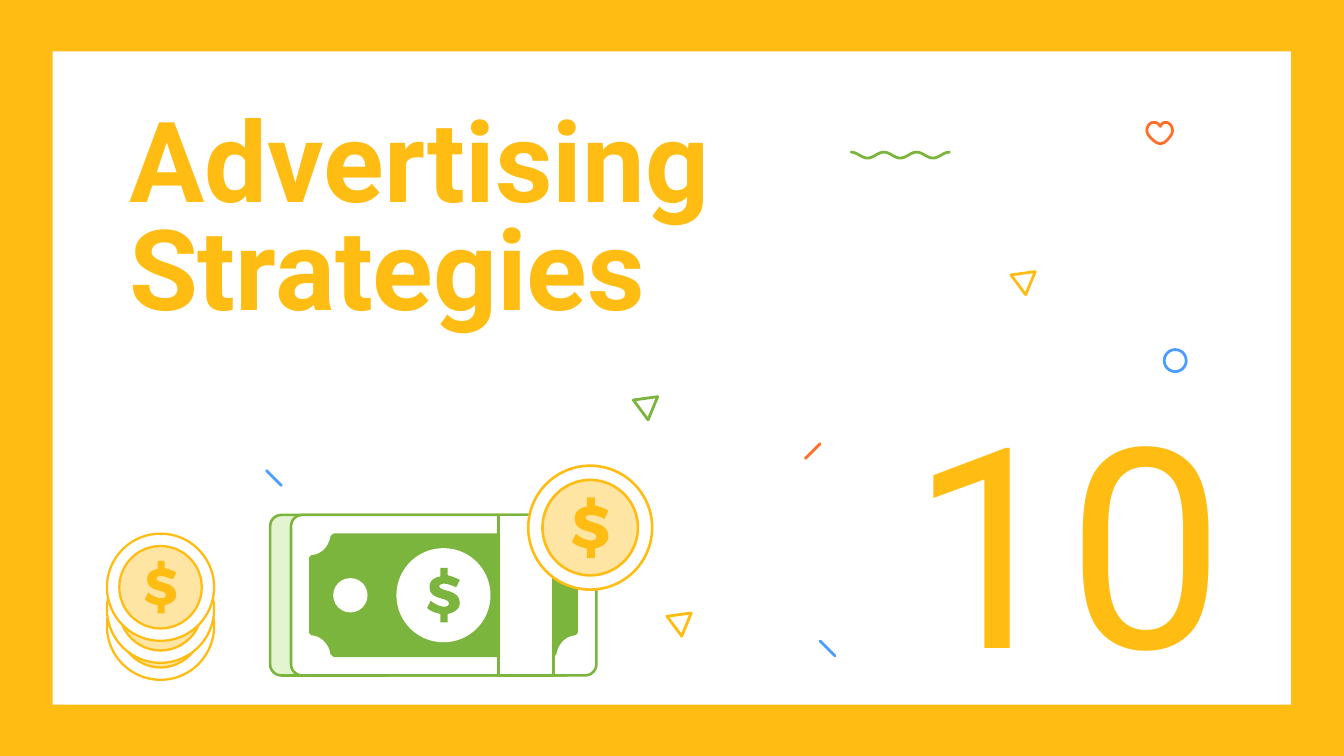
import math

import lxml.etree
import pptx
import pptx.dml.color
import pptx.enum.shapes
import pptx.enum.text
import pptx.oxml.ns
import pptx.util

Pt = pptx.util.Pt
RGBColor = pptx.dml.color.RGBColor
Preset = pptx.enum.shapes.MSO_SHAPE
Align = pptx.enum.text.PP_ALIGN
Anchor = pptx.enum.text.MSO_ANCHOR

YELLOW = RGBColor(0xFF, 0xBC, 0x12)
PALE_YELLOW = RGBColor(0xFF, 0xE5, 0xA3)
GREEN = RGBColor(0x7C, 0xB5, 0x3E)
PALE_GREEN = RGBColor(0xE3, 0xF5, 0xD0)
ORANGE = RGBColor(0xFF, 0x6F, 0x29)
BLUE = RGBColor(0x4D, 0x9D, 0xFF)
WHITE = RGBColor(0xFF, 0xFF, 0xFF)

FONT = "Roboto"
STROKE = 1.5
DOLLAR = [
    (11, 0), (11, 7), (5, 8, 2, 11, 2, 16), (2, 27, 18, 24, 18, 29),
    (18, 31, 17, 32, 14, 32), (11, 32, 6, 30, 3, 27), (0, 33),
    (3, 36, 7, 37, 11, 38), (11, 45), (17, 45), (17, 38),
    (22, 37, 27, 34, 27, 29), (27, 17, 10, 20, 10, 15),
    (10, 14, 12, 13, 14, 13), (16, 13, 20, 14, 24, 16), (27, 10),
    (24, 8, 20, 7, 17, 6), (17, 0),
]
HEART = [
    (10, 16), (7, 15), (0, 10, 0, 7, 0, 6), (0, 3, 2, 0, 5, 0),
    (7, 0, 9, 1, 10, 3), (11, 1, 12, 0, 14, 0), (17, 0, 19, 3, 19, 6),
    (19, 7, 19, 10, 13, 15),
]
PLATE_CORNER = [
    (0, 19), (0, 17, 1, 17, 2, 16), (3, 16), (10, 15, 15, 9, 16, 2),
    (17, 1, 18, 0, 19, 0),
]
TRIANGLE = [(13, 0), (0, 1.8), (7.9, 12.4)]


def trace(steps, scale, samples=8):
    """Turn line and cubic curve steps into a list of scaled points."""
    points = []
    for step in steps:
        if len(step) == 2:
            points.append(step)
            continue
        x0, y0 = points[-1]
        x1, y1, x2, y2, x3, y3 = step
        for i in range(1, samples + 1):
            t = i / samples
            a, b, c, d = (1 - t) ** 3, 3 * t * (1 - t) ** 2, 3 * t * t * (1 - t), t ** 3
            points.append((a * x0 + b * x1 + c * x2 + d * x3,
                           a * y0 + b * y1 + c * y2 + d * y3))
    return [(x * scale, y * scale) for x, y in points]


def paint(shape, fill=None, line=None, weight=STROKE):
    """Give a shape its fill and line, without a shadow."""
    shape.shadow.inherit = False
    if fill is None:
        shape.fill.background()
    else:
        shape.fill.solid()
        shape.fill.fore_color.rgb = fill
    if line is None:
        shape.line.fill.background()
    else:
        shape.line.color.rgb = line
        shape.line.width = Pt(weight)
    return shape


def round_ends(shape):
    """Round the ends and corners of a shape's line."""
    ln = shape.line._get_or_add_ln()
    ln.set("cap", "rnd")
    lxml.etree.SubElement(ln, pptx.oxml.ns.qn("a:round"))


def add_preset(slide, preset, left, top, width, height, **look):
    """Add a painted preset shape."""
    shape = slide.shapes.add_shape(preset, Pt(left), Pt(top), Pt(width), Pt(height))
    return paint(shape, **look)


def add_outline(slide, left, top, points, close=True, **look):
    """Add a painted freeform through points relative to a corner."""
    placed = [(Pt(left + x), Pt(top + y)) for x, y in points]
    builder = slide.shapes.build_freeform(*placed[0])
    builder.add_line_segments(placed[1:], close=close)
    return paint(builder.convert_to_shape(), **look)


def add_dollar(slide, center_x, center_y, height, color):
    """Add a dollar sign centred on a point."""
    scale = height / 45
    add_outline(slide, center_x - 13.5 * scale, center_y - height / 2,
                trace(DOLLAR, scale), fill=color)


def add_coin(slide, left, top, size):
    """Add a coin filling a square box."""
    inner = size * 0.77
    margin = (size - inner) / 2
    weight = round(size * 0.021, 2)
    add_preset(slide, Preset.OVAL, left, top, size, size,
               fill=WHITE, line=YELLOW, weight=weight)
    add_preset(slide, Preset.OVAL, left + margin, top + margin, inner, inner,
               fill=PALE_YELLOW, line=YELLOW, weight=weight)
    add_dollar(slide, left + size / 2, top + size / 2, size * 0.49, YELLOW)


def add_banknotes(slide, left, top, width, height):
    """Add a strapped pair of banknotes inside a box."""
    shift = 11.2
    for offset, fill in ((0, PALE_GREEN), (shift, WHITE)):
        note = add_preset(slide, Preset.ROUNDED_RECTANGLE, left + offset, top,
                          width - shift, height, fill=fill, line=GREEN, weight=1.4)
        note.adjustments[0] = 0.07

    plate_width, plate_height = 144, 66.2
    corner = trace(PLATE_CORNER, 0.72)
    plate = corner + [(plate_width - x, y) for x, y in reversed(corner)]
    plate += [(plate_width - x, plate_height - y) for x, y in plate]
    add_outline(slide, left + 20.9, top + (height - plate_height) / 2, plate, fill=GREEN)

    for center_x, size in ((43, 18.4), (92.9, 50.4)):
        add_preset(slide, Preset.OVAL, left + center_x - size / 2,
                   top + (height - size) / 2, size, size, fill=WHITE)
    add_dollar(slide, left + 92.9, top + height / 2, 29.2, GREEN)
    add_preset(slide, Preset.RECTANGLE, left + 122.4, top, 29.5, height,
               fill=WHITE, line=GREEN, weight=1.4)


def add_confetti(slide, left, top):
    """Scatter small outlined marks from the panel's corner."""
    for x, y, rise, color in ((403.3, 218.1, -7.9, ORANGE),
                              (114.6, 224.6, 7.9, BLUE),
                              (411.2, 316, 7.9, BLUE)):
        dash = slide.shapes.add_connector(
            pptx.enum.shapes.MSO_CONNECTOR.STRAIGHT, Pt(left + x), Pt(top + y),
            Pt(left + x + 7.9), Pt(top + y + rise))
        dash.line.color.rgb = color
        dash.line.width = Pt(STROKE)
        round_ends(dash)
        lxml.etree.SubElement(dash._element.spPr, pptx.oxml.ns.qn("a:effectLst"))

    wave = [(52.6 * i / 48, 1.6 - 1.6 * math.cos(math.pi * i / 8)) for i in range(49)]
    round_ends(add_outline(slide, left + 427.8, top + 54, wave, close=False, line=GREEN))
    for x, y, color in ((513.4, 118, YELLOW), (329.1, 300.9, YELLOW), (311.1, 185, GREEN)):
        round_ends(add_outline(slide, left + x, top + y, TRIANGLE, line=color))
    round_ends(add_outline(slide, left + 586.2, top + 38.1, trace(HEART, 0.72), line=ORANGE))
    add_preset(slide, Preset.OVAL, left + 595.5, top + 159.8, 11.8, 11.8, line=BLUE)


def set_heading(holder, text, left, top, width, height, size, bold, align, anchor):
    """Place and format a large heading."""
    holder.left, holder.top, holder.width, holder.height = map(Pt, (left, top, width, height))
    frame = holder.text_frame
    frame.text = text
    frame.word_wrap = True
    frame.auto_size = pptx.enum.text.MSO_AUTO_SIZE.NONE
    frame.vertical_anchor = anchor
    frame.margin_left = frame.margin_right = frame.margin_top = frame.margin_bottom = Pt(7.2)
    paragraph = frame.paragraphs[0]
    paragraph.alignment = align
    font = paragraph.runs[0].font
    font.name, font.size, font.bold = FONT, Pt(size), bold
    font.color.rgb = YELLOW
    return paragraph


def build_section_slide(deck):
    """Build the section opener."""
    slide = deck.slides.add_slide(deck.slide_layouts[5])
    panel_left, panel_top = 28.2, 27.5
    add_preset(slide, Preset.RECTANGLE, 0, 0, 720, 405, fill=YELLOW)
    add_preset(slide, Preset.RECTANGLE, panel_left, panel_top, 663.4, 350, fill=WHITE)
    add_confetti(slide, panel_left, panel_top)

    title = slide.shapes.title
    title._element.getparent().append(title._element)
    heading = set_heading(title, "Advertising Strategies", 62, 55.4, 459.4, 127.4,
                          60, True, Align.LEFT, Anchor.TOP)
    heading.line_spacing = 0.8
    number = slide.shapes.add_textbox(0, 0, 0, 0)
    set_heading(number, "10", 387.4, 212.4, 275.8, 149.8,
                150, False, Align.RIGHT, Anchor.MIDDLE)

    add_banknotes(slide, 144.7, 275.9, 174.8, 86)
    add_coin(slide, 283, 249.5, 66.4)
    for top in (306.8, 297.7, 285.9):
        add_coin(slide, 57.3, top, 57.4)


def main():
    """Create and save the deck."""
    deck = pptx.Presentation()
    deck.slide_width, deck.slide_height = Pt(720), Pt(405)
    build_section_slide(deck)
    deck.save("out.pptx")


if __name__ == "__main__":
    main()
